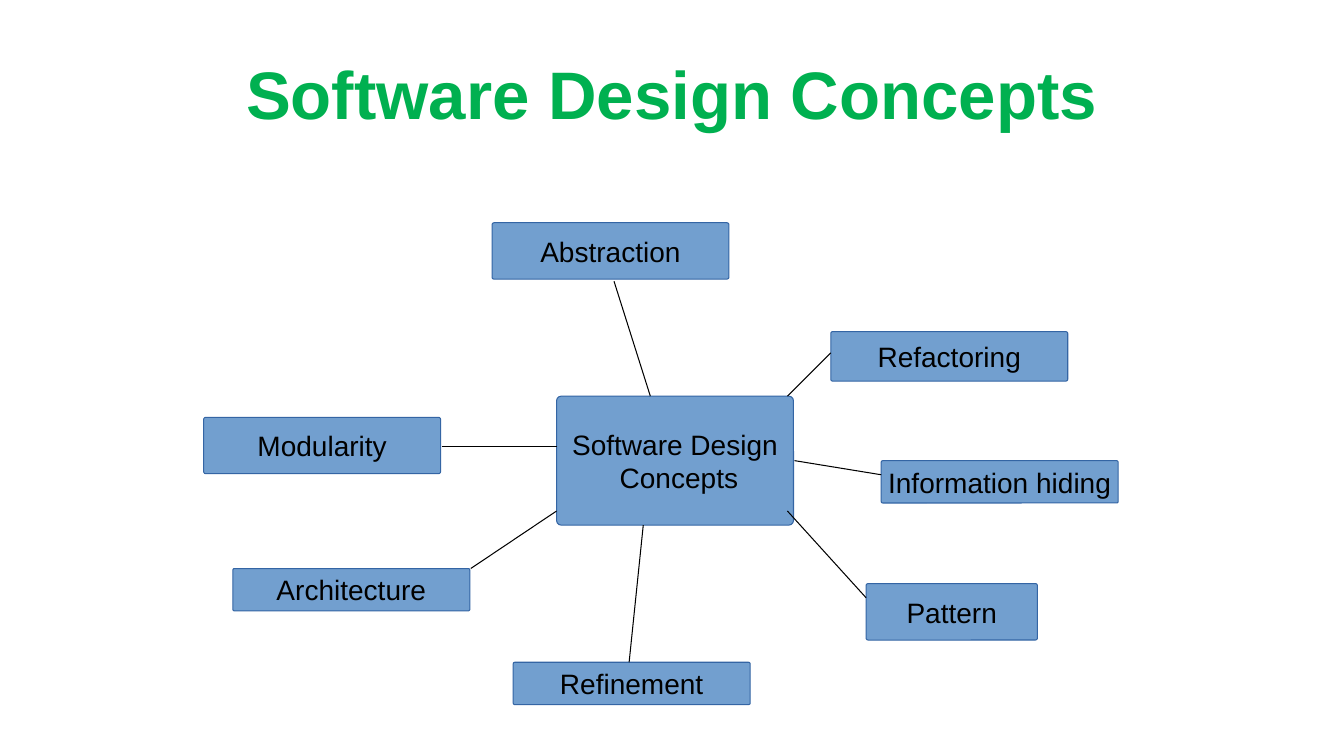
from dataclasses import dataclass

from lxml import etree
from pptx import Presentation
from pptx import util as u
from pptx.dml.color import RGBColor
from pptx.enum import shapes, text
from pptx.oxml import ns


@dataclass(frozen=True)
class Theme:
    """Colours and type sizes of the slide."""
    font: str = "Arial"
    title: str = "00B050"
    ink: str = "000000"
    fill: str = "729FCF"
    border: str = "3465A4"
    title_size: int = 48
    label_size: int = 20
    line_width: float = 0.75
    corner: float = 0.036


THEME = Theme()
TITLE = "Software Design Concepts"
CONCEPTS = [
    (["Modularity"], (2.02, 4.14, 2.35, 0.56)),
    (["Software Design", " Concepts"], (5.52, 3.93, 2.35, 1.28)),
    (["Abstraction"], (4.88, 2.21, 2.35, 0.56)),
    (["Information hiding"], (8.74, 4.57, 2.35, 0.42)),
    (["Pattern"], (8.59, 5.79, 1.7, 0.56)),
    (["Refinement"], (5.09, 6.57, 2.35, 0.42)),
    (["Architecture"], (2.31, 5.64, 2.35, 0.42)),
    (["Refactoring"], (8.24, 3.29, 2.35, 0.49)),
]
LINKS = [
    (6.09, 2.79, 6.45, 3.93),
    (4.38, 4.43, 5.52, 4.43),
    (4.67, 5.64, 5.52, 5.07),
    (6.24, 6.57, 6.38, 5.21),
    (7.81, 5.07, 8.59, 5.93),
    (7.88, 4.57, 8.74, 4.71),
    (7.81, 3.93, 8.24, 3.5),
]


def inches(values):
    """Turn plain numbers into lengths."""
    return [u.Inches(value) for value in values]


def apply(target, values):
    """Set each named attribute on the target."""
    for name, value in values.items():
        setattr(target, name, value)


def write(box, lines, size, color, margins=(0, 0), wrap=True, bold=False):
    """Write centred lines of text into a box."""
    frame = box.text_frame
    side, edge = inches(margins)
    apply(frame, {"margin_left": side, "margin_right": side,
                  "margin_top": edge, "margin_bottom": edge,
                  "word_wrap": wrap, "vertical_anchor": text.MSO_ANCHOR.MIDDLE})
    for index, line in enumerate(lines):
        para = frame.add_paragraph() if index else frame.paragraphs[0]
        para.alignment = text.PP_ALIGN.CENTER
        span = para.add_run()
        span.text = line
        apply(span.font, {"name": THEME.font, "size": u.Pt(size), "bold": bold})
        span.font.color.rgb = RGBColor.from_string(color)


def draw_line(line, color):
    """Give a line its colour and the common width."""
    line.color.rgb = RGBColor.from_string(color)
    line.width = u.Pt(THEME.line_width)


def add_title(page):
    """Add the slide heading."""
    box = page.shapes.add_textbox(*inches((2.17, 0.3, 8.99, 1.24)))
    write(box, [TITLE], THEME.title_size, THEME.title, bold=True)


def add_concept(page, lines, place):
    """Add one labelled concept box."""
    box = page.shapes.add_shape(shapes.MSO_SHAPE.ROUNDED_RECTANGLE, *inches(place))
    box.adjustments[0] = THEME.corner
    box.shadow.inherit = False
    box.fill.solid()
    box.fill.fore_color.rgb = RGBColor.from_string(THEME.fill)
    draw_line(box.line, THEME.border)
    write(box, lines, THEME.label_size, THEME.ink, margins=(0.09, 0.04), wrap=False)


def add_link(page, ends):
    """Add a straight line between two points."""
    link = page.shapes.add_connector(shapes.MSO_CONNECTOR.STRAIGHT, *inches(ends))
    draw_line(link.line, THEME.ink)
    etree.SubElement(link._element.spPr, ns.qn("a:effectLst"))


def main():
    """Build and save the slide."""
    deck = Presentation()
    apply(deck, {"slide_width": u.Inches(13.33), "slide_height": u.Inches(7.5)})
    page = deck.slides.add_slide(deck.slide_layouts[6])
    add_title(page)
    for lines, place in CONCEPTS:
        add_concept(page, lines, place)
    for ends in LINKS:
        add_link(page, ends)
    deck.save("out.pptx")


if __name__ == "__main__":
    main()
